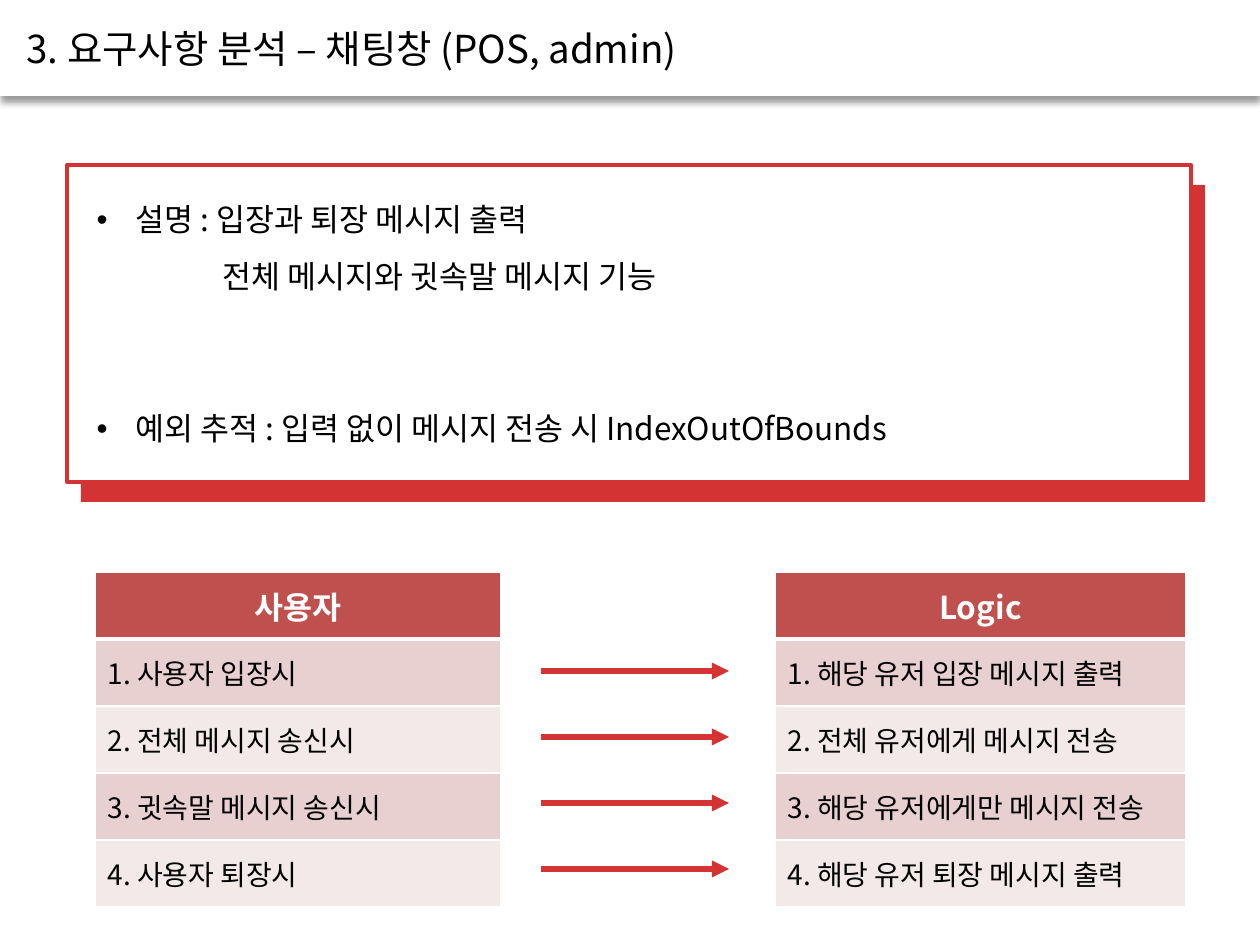
from lxml.etree import SubElement
from pptx import Presentation
from pptx.dml.color import RGBColor
from pptx.enum.shapes import MSO_CONNECTOR as CONN, MSO_SHAPE as SHAPE
from pptx.enum.text import MSO_ANCHOR as ANCHOR, MSO_AUTO_SIZE as AUTO, PP_ALIGN as ALIGN
from pptx.oxml import parse_xml
from pptx.oxml.ns import nsdecls, qn
from pptx.util import Emu, Pt

FONT = "Noto Sans CJK KR"
BLACK = RGBColor(0x00, 0x00, 0x00)
WHITE = RGBColor(0xFF, 0xFF, 0xFF)
RED = RGBColor(0xD3, 0x33, 0x33)
HEADER = RGBColor(0xC0, 0x50, 0x4D)
BANDS = [RGBColor(0xF4, 0xE9, 0xE9), RGBColor(0xE8, 0xD0, 0xD0)]


def px(*lengths):
    """Turn pixels (126 to the inch) into EMU."""
    return [Emu(round(n * 914400 / 126)) for n in lengths]


def style(p, text, size, color=BLACK, bold=False, align=ALIGN.LEFT):
    """Fill a paragraph and set its font for Latin and Korean text."""
    p.text = text
    p.alignment = align
    p.space_before = Pt(0)
    p.font.size, p.font.bold, p.font.name = Pt(size), bold, FONT
    p.font.color.rgb = color
    rpr = p._p.pPr.find(qn("a:defRPr"))
    SubElement(rpr, qn("a:ea"), typeface=FONT)
    return rpr


prs = Presentation()
prs.slide_width, prs.slide_height = px(1260, 945)
s = prs.slides.add_slide(prs.slide_layouts[3])
title, description, exception = s.placeholders

# Title bar and the two-layer frame, placed behind the text
for box, fill, line in [
    ((0, 0, 1260, 96), WHITE, None),
    ((81, 185, 1124, 317), RED, None),
    ((67, 165, 1124, 317), WHITE, RED),
]:
    sp = s.shapes.add_shape(SHAPE.RECTANGLE, *px(*box))
    sp.shadow.inherit = False
    sp.fill.solid()
    sp.fill.fore_color.rgb = fill
    if line:
        sp.line.color.rgb = line
        sp.line.width = Pt(2.5)
    else:
        sp.line.fill.background()
    if box[1] == 0:
        sp._element.spPr.find(qn("a:effectLst")).append(parse_xml(
            f'<a:outerShdw {nsdecls("a")} blurRad="50800" dist="38100" dir="5400000" '
            'algn="t" rotWithShape="0"><a:srgbClr val="000000">'
            '<a:alpha val="40000"/></a:srgbClr></a:outerShdw>'))
    title._element.addprevious(sp._element)

# Title and lists: (text, bulleted)
for sp, box, size, spacing, lines in [
    (title, (14, 19, 746, 59), 22, 1.0,
     [("3. 요구사항 분석 – 채팅창 (POS, admin)", False)]),
    (description, (84, 175, 1106, 122), 18, 1.5,
     [("설명 : 입장과 퇴장 메시지 출력", True),
      ("전체 메시지와 귓속말 메시지 기능", False)]),
    (exception, (84, 403, 1052, 50), 18, 1.0,
     [("예외 추적 : 입력 없이 메시지 전송 시 IndexOutOfBounds", True)]),
]:
    sp.left, sp.top, sp.width, sp.height = px(*box)
    tf = sp.text_frame
    tf.word_wrap = True
    tf.auto_size = AUTO.SHAPE_TO_FIT_TEXT
    tf.vertical_anchor = ANCHOR.TOP
    for i, (text, bulleted) in enumerate(lines):
        p = tf.add_paragraph() if i else tf.paragraphs[0]
        rpr = style(p, text, size)
        p.line_spacing = spacing
        if sp is title:
            continue
        margin, = px(39 if bulleted else 126)
        p._p.pPr.set("marL", str(margin))
        p._p.pPr.set("indent", str(-margin if bulleted else 0))
        if bulleted:
            rpr.addprevious(parse_xml(f'<a:buFont {nsdecls("a")} typeface="Arial"/>'))
            rpr.addprevious(parse_xml(f'<a:buChar {nsdecls("a")} char="•"/>'))
        else:
            rpr.addprevious(parse_xml(f'<a:buNone {nsdecls("a")}/>'))

# User and logic tables
for left, width, rows in [
    (95, 406, ["사용자", "1. 사용자 입장시", "2. 전체 메시지 송신시",
               "3. 귓속말 메시지 송신시", "4. 사용자 퇴장시"]),
    (775, 411, ["Logic", "1. 해당 유저 입장 메시지 출력", "2. 전체 유저에게 메시지 전송",
                "3. 해당 유저에게만 메시지 전송", "4. 해당 유저 퇴장 메시지 출력"]),
]:
    table = s.shapes.add_table(len(rows), 1, *px(left, 572, width, 67 * len(rows))).table
    for i, text in enumerate(rows):
        cell = table.cell(i, 0)
        cell.vertical_anchor = ANCHOR.MIDDLE
        p = cell.text_frame.paragraphs[0]
        if i == 0:
            style(p, text, 18, WHITE, True, ALIGN.CENTER)
        else:
            style(p, text, 16)
        for side in ("lnL", "lnR", "lnT", "lnB"):
            thick = (i, side) in [(0, "lnB"), (1, "lnT")]
            cell._tc.get_or_add_tcPr().append(parse_xml(
                f'<a:{side} {nsdecls("a")} w="{Pt(3 if thick else 1)}"><a:solidFill>'
                f'<a:srgbClr val="{WHITE}"/></a:solidFill></a:{side}>'))
        cell.fill.solid()
        cell.fill.fore_color.rgb = BANDS[i % 2] if i else HEADER

# Arrows from each user action to its logic
for i in range(4):
    y = 671 + 66 * i
    arrow = s.shapes.add_connector(CONN.STRAIGHT, *px(541, y, 729, y))
    arrow.line.color.rgb = RED
    arrow.line.width = Pt(3.25)
    SubElement(arrow.line._get_or_add_ln(), qn("a:tailEnd"), type="triangle")
    SubElement(arrow._element.spPr, qn("a:effectLst"))

prs.save("out.pptx")
